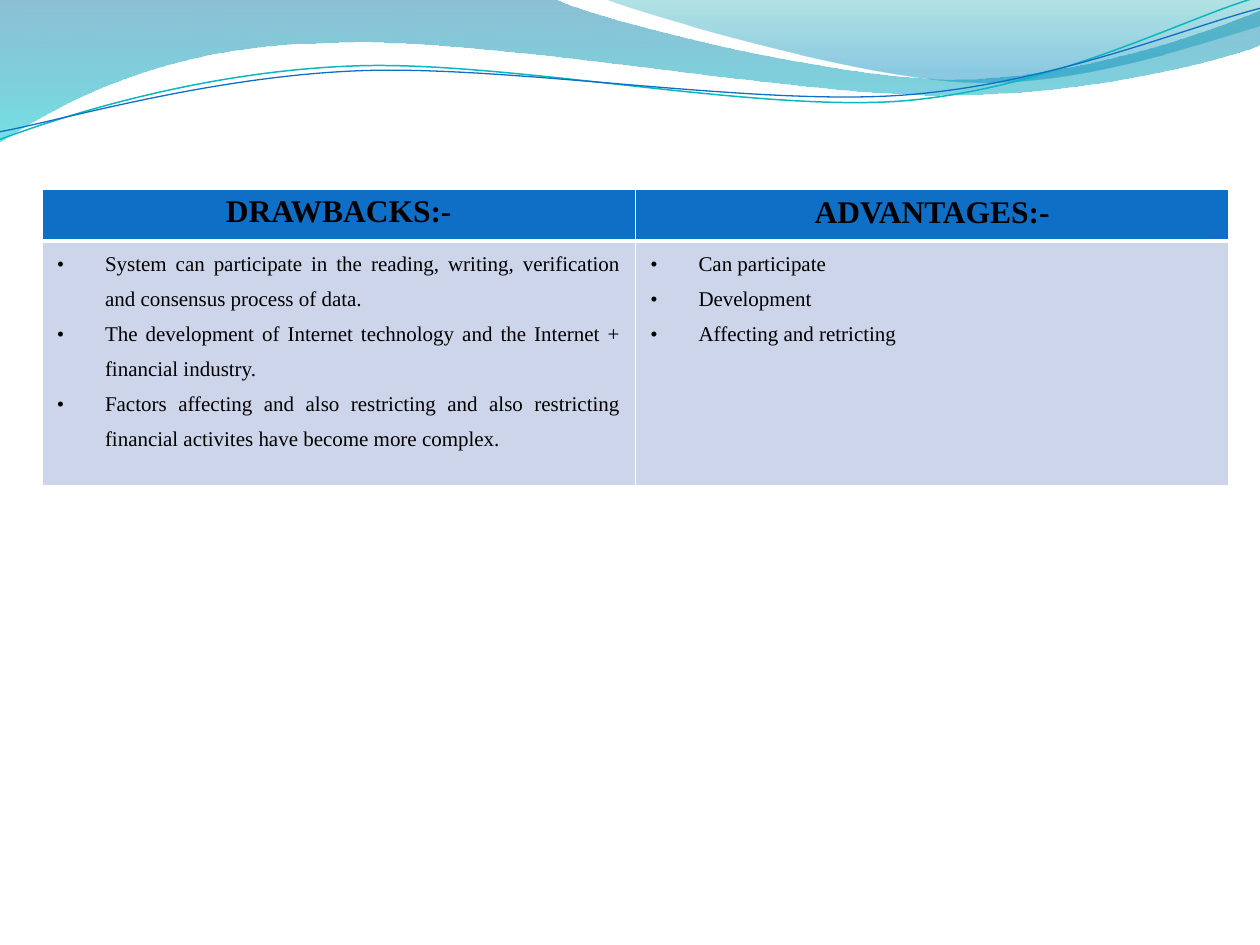
from dataclasses import dataclass

from lxml import etree
from pptx import Presentation
from pptx.dml.color import RGBColor
from pptx.enum.text import PP_ALIGN
from pptx.oxml.ns import qn
from pptx.util import Pt

CENTER, JUSTIFY = PP_ALIGN.CENTER, PP_ALIGN.JUSTIFY
EMU_PER_PX = 914400 / 126
BLANK_LAYOUT = 6
CURVE_TILT = 357.3


@dataclass(frozen=True)
class Theme:
    font: str = "Times New Roman"
    header_size: int = 18
    body_size: int = 12
    ink: str = "000000"
    header_fill: str = "0F6FC6"
    body_fill: str = "CCD5EA"
    border: str = "FFFFFF"
    main_wave: tuple = ((0, "0074A1", 45), (100, "00C6CF", 55))
    corner_wave: tuple = ((0, "00A1A9", 30), (80, "008BBF", 45))
    teal_line: str = "0AB8BF"
    blue_line: str = "0F6FC6"


THEME = Theme()

MAIN_WAVE = [
    (-1, -1), [(554, -1)],
    [(600, 21), (837, 79), (955, 79)], [(1074, 79), (1207, 33), (1260, 11)],
    [(1261, 45)],
    [(1239, 55), (1096, 96), (940, 95)], [(784, 95), (481, 35), (324, 43)],
    [(163, 45), (58, 105), (-1, 142)],
    [(-1, -1)],
]
CORNER_WAVE = [
    (604, -1),
    [(641, 14), (859, 78), (969, 82)], [(1079, 87), (1211, 40), (1260, 26)],
    [(1260, -1)], [(604, -1)],
]
TEAL_CURVE = [
    (-3, 110),
    [(59, 90), (199, 52), (350, 53)], [(499, 53), (745, 117), (896, 114)],
    [(1049, 110), (1184, 45), (1260, 27)],
]
BLUE_CURVE = [
    (-2, 102),
    [(58, 94), (208, 57), (358, 58)], [(509, 59), (751, 112), (902, 108)],
    [(1052, 104), (1189, 53), (1263, 38)],
]

DRAWBACKS = [
    "System can participate in the reading, writing, verification and consensus process of data.",
    "The development of Internet technology and the Internet + financial industry.",
    "Factors affecting and also restricting and also restricting financial activites have become more complex.",
]
ADVANTAGES = ["Can participate", "Development", "Affecting and retricting"]


def px(length):
    return round(length * EMU_PER_PX)


def rgb(color):
    return RGBColor.from_string(color)


def bend_segments(shape, segments):
    steps = iter(list(shape.element.iter(qn("a:lnTo"))))
    for segment in segments:
        parts = [next(steps) for _ in segment]
        if len(parts) == 3:
            curve = etree.Element(qn("a:cubicBezTo"))
            parts[0].addprevious(curve)
            for part in parts:
                curve.append(part[0])
                part.getparent().remove(part)


def add_outline(slide, outline, close):
    start, *segments = outline
    builder = slide.shapes.build_freeform(*start, scale=EMU_PER_PX)
    builder.add_line_segments([point for segment in segments for point in segment], close=close)
    shape = builder.convert_to_shape()
    bend_segments(shape, segments)
    shape.shadow.inherit = False
    return shape


def add_wave(slide, outline, stops):
    wave = add_outline(slide, outline, True)
    wave.line.fill.background()
    wave.fill.gradient()
    wave.fill.gradient_angle = 270
    for stop, (position, color, _) in zip(wave.fill.gradient_stops, stops):
        stop.position = position / 100
        stop.color.rgb = rgb(color)
    colors = wave.element.spPr.iter(qn("a:srgbClr"))
    for color_element, (_, _, opacity) in zip(colors, stops):
        etree.SubElement(color_element, qn("a:alpha"), val=str(opacity * 1000))


def add_curve(slide, outline, color, width):
    curve = add_outline(slide, outline, False)
    curve.rotation = CURVE_TILT
    curve.fill.background()
    curve.line.color.rgb = rgb(color)
    curve.line.width = Pt(width)


def set_borders(cell, top, bottom):
    properties = cell._tc.get_or_add_tcPr()
    for side, width in (("L", 1), ("R", 1), ("T", top), ("B", bottom)):
        line = etree.SubElement(properties, qn(f"a:ln{side}"), w=str(Pt(width)))
        fill = etree.SubElement(line, qn("a:solidFill"))
        etree.SubElement(fill, qn("a:srgbClr"), val=THEME.border)


def set_cell_fill(cell, color):
    cell.fill.solid()
    cell.fill.fore_color.rgb = rgb(color)


def set_margins(cell, side, vertical):
    cell.margin_left = cell.margin_right = px(side)
    cell.margin_top = cell.margin_bottom = px(vertical)


def format_runs(paragraph, size, bold):
    for run in paragraph.runs:
        run.font.name = THEME.font
        run.font.size = Pt(size)
        run.font.bold = bold
        run.font.color.rgb = rgb(THEME.ink)


def add_bullet(paragraph):
    properties = paragraph._p.get_or_add_pPr()
    properties.set("marL", str(px(48)))
    properties.set("indent", str(-px(48)))
    etree.SubElement(properties, qn("a:buFont"), typeface=THEME.font)
    etree.SubElement(properties, qn("a:buChar"), char="•")


def fill_header(cell, heading):
    set_borders(cell, 1, 3)
    set_cell_fill(cell, THEME.header_fill)
    cell.text_frame.text = heading
    paragraph = cell.text_frame.paragraphs[0]
    paragraph.alignment = CENTER
    format_runs(paragraph, THEME.header_size, True)
    return paragraph


def fill_body(cell, points):
    set_borders(cell, 3, 1)
    set_cell_fill(cell, THEME.body_fill)
    set_margins(cell, 15, 0)
    cell.text_frame.text = "\n".join(points)
    for paragraph in cell.text_frame.paragraphs:
        add_bullet(paragraph)
        paragraph.alignment = JUSTIFY
        paragraph.line_spacing = 1.5
        format_runs(paragraph, THEME.body_size, False)


def add_comparison(slide):
    table = slide.shapes.add_table(2, 2, px(42), px(189), px(1187), px(297)).table
    for row, height in zip(table.rows, (52, 245)):
        row.height = px(height)
    drawbacks = fill_header(table.cell(0, 0), "DRAWBACKS:-")
    drawbacks.line_spacing = 1.15
    drawbacks.space_after = Pt(10)
    set_margins(table.cell(0, 0), 15, 0)
    fill_header(table.cell(0, 1), "ADVANTAGES:-")
    fill_body(table.cell(1, 0), DRAWBACKS)
    fill_body(table.cell(1, 1), ADVANTAGES)


def main():
    presentation = Presentation()
    presentation.slide_width = px(1260)
    presentation.slide_height = px(945)
    slide = presentation.slides.add_slide(presentation.slide_layouts[BLANK_LAYOUT])
    add_wave(slide, MAIN_WAVE, THEME.main_wave)
    add_wave(slide, CORNER_WAVE, THEME.corner_wave)
    add_curve(slide, TEAL_CURVE, THEME.teal_line, 0.85)
    add_curve(slide, BLUE_CURVE, THEME.blue_line, 0.75)
    add_comparison(slide)
    presentation.save("out.pptx")


if __name__ == "__main__":
    main()
